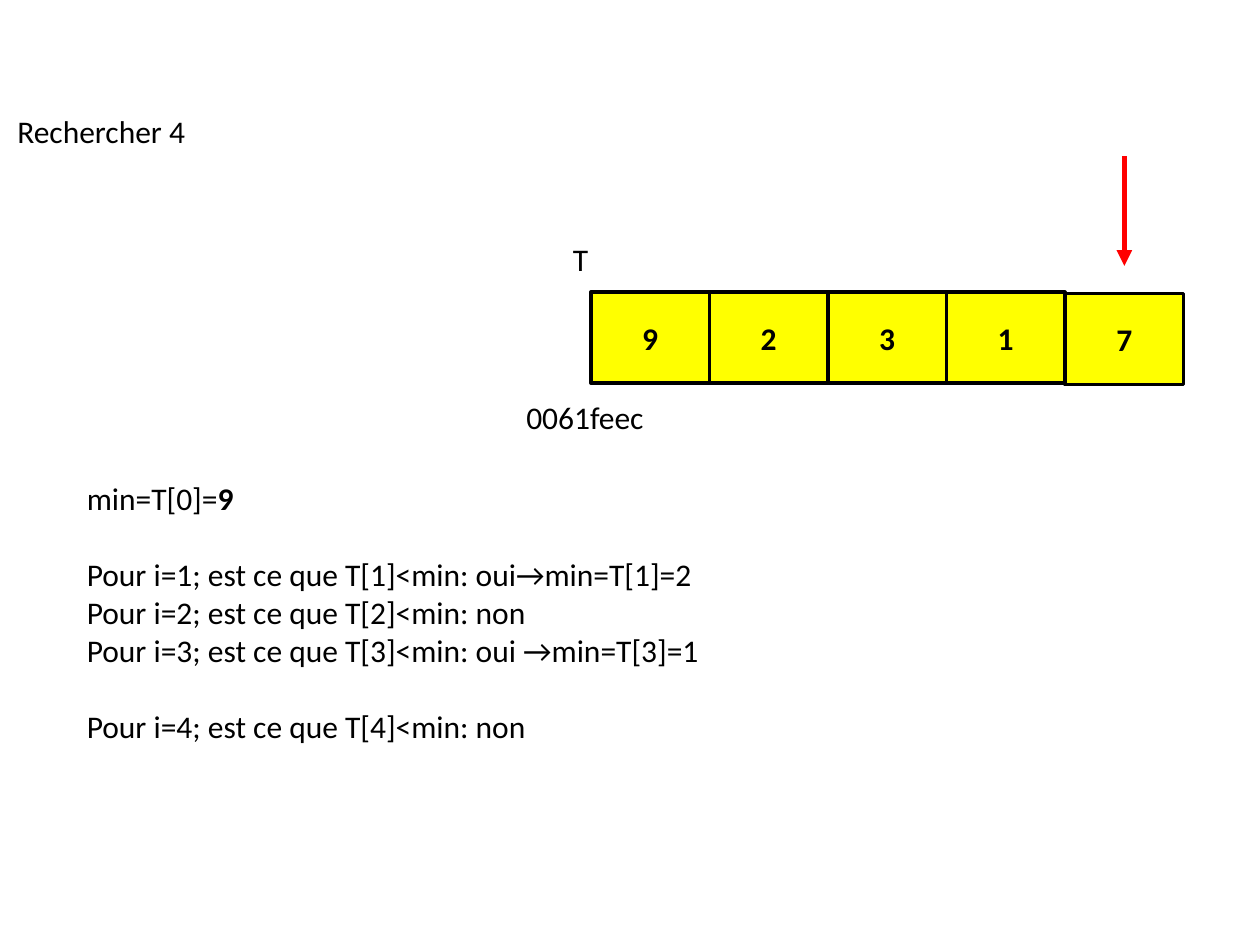
"""Build the slide that traces the search for the minimum of an array."""
from dataclasses import dataclass

from lxml import etree
from pptx import Presentation
from pptx.dml.color import RGBColor
from pptx.enum.shapes import MSO_CONNECTOR, MSO_SHAPE
from pptx.enum.text import MSO_ANCHOR, MSO_AUTO_SIZE, PP_ALIGN
from pptx.oxml.ns import qn
from pptx.slide import Slide
from pptx.util import Cm, Pt

RECTANGLE = MSO_SHAPE.RECTANGLE
STRAIGHT = MSO_CONNECTOR.STRAIGHT
MIDDLE = MSO_ANCHOR.MIDDLE
CENTER = PP_ALIGN.CENTER
GROW = MSO_AUTO_SIZE.SHAPE_TO_FIT_TEXT

FONT = "Calibri"
TEXT_SIZE = 18
LINE_SPACE = 22
BLACK, YELLOW, RED = "000000", "FFFF00", "FF0000"
CELL_LEFT, CELL_WIDTH, CELL_HEIGHT = 11.91, 2.39, 1.83
CELL_TOP, LAST_CELL_TOP = 5.89, 5.92
ARROW_TOP, ARROW_BOTTOM = 3.15, 5.36


@dataclass
class Span:
    text: str
    bold: bool = False


@dataclass
class Line:
    spans: list[Span]
    space_before: int = 0


@dataclass
class Label:
    left: float
    top: float
    width: float
    height: float
    lines: list[Line]


VALUES = ["9", "2", "3", "1", "7"]
LABELS = [
    Label(11.3, 4.72, 2.21, 1.02, [Line([Span("T")])]),
    Label(10.36, 7.9, 3.15, 1.02, [Line([Span("0061feec")])]),
    Label(0.1, 2.13, 5, 1.02, [Line([Span("Rechercher 4")])]),
    Label(1.5, 9.53, 19.81, 7.19, [
        Line([Span("min=T[0]="), Span("9", bold=True)]),
        Line([Span("Pour i=1; est ce que T[1]<min: oui→min=T[1]=2")], LINE_SPACE),
        Line([Span("Pour i=2; est ce que T[2]<min: non")]),
        Line([Span("Pour i=3; est ce que T[3]<min: oui →min=T[3]=1")]),
        Line([Span("Pour i=4; est ce que T[4]<min: non")], LINE_SPACE),
    ]),
]


def color(value: str) -> RGBColor:
    """Turn a hex string into a colour."""
    return RGBColor.from_string(value)


def add_span(paragraph, span: Span) -> None:
    """Add one formatted run to a paragraph."""
    run = paragraph.add_run()
    run.text = span.text
    run.font.name = FONT
    run.font.size = Pt(TEXT_SIZE)
    run.font.bold = span.bold
    run.font.color.rgb = color(BLACK)


def add_cell(page: Slide, left: float, top: float, value: str) -> None:
    """Draw one array cell with its value."""
    cell = page.shapes.add_shape(
        RECTANGLE, Cm(left), Cm(top), Cm(CELL_WIDTH), Cm(CELL_HEIGHT))
    cell.shadow.inherit = False
    cell.fill.solid()
    cell.fill.fore_color.rgb = color(YELLOW)
    cell.line.color.rgb = color(BLACK)
    cell.line.width = Pt(2)
    cell.text_frame.vertical_anchor = MIDDLE
    paragraph = cell.text_frame.paragraphs[0]
    paragraph.alignment = CENTER
    add_span(paragraph, Span(value, bold=True))


def add_label(page: Slide, label: Label) -> None:
    """Write a text box line by line."""
    box = page.shapes.add_textbox(
        Cm(label.left), Cm(label.top), Cm(label.width), Cm(label.height))
    frame = box.text_frame
    frame.word_wrap = True
    frame.auto_size = GROW
    for index, line in enumerate(label.lines):
        paragraph = frame.add_paragraph() if index else frame.paragraphs[0]
        paragraph.space_before = Pt(line.space_before)
        for span in line.spans:
            add_span(paragraph, span)


def add_arrow(page: Slide, center: float) -> None:
    """Draw the arrow that points down at the current cell."""
    arrow = page.shapes.add_connector(
        STRAIGHT, Cm(center), Cm(ARROW_TOP), Cm(center), Cm(ARROW_BOTTOM))
    arrow.line.color.rgb = color(RED)
    arrow.line.width = Pt(3)
    etree.SubElement(arrow.line._get_or_add_ln(), qn("a:tailEnd"), type="triangle")
    etree.SubElement(arrow._element.spPr, qn("a:effectLst"))


def main() -> None:
    """Build and save the deck."""
    deck = Presentation()
    deck.slide_width, deck.slide_height = Cm(25.4), Cm(19.05)
    page = deck.slides.add_slide(deck.slide_layouts[6])
    last = len(VALUES) - 1
    for index, value in enumerate(VALUES):
        top = LAST_CELL_TOP if index == last else CELL_TOP
        add_cell(page, CELL_LEFT + index * CELL_WIDTH, top, value)
    for label in LABELS:
        add_label(page, label)
    add_arrow(page, CELL_LEFT + (last + 0.5) * CELL_WIDTH)
    deck.save("out.pptx")


if __name__ == "__main__":
    main()
